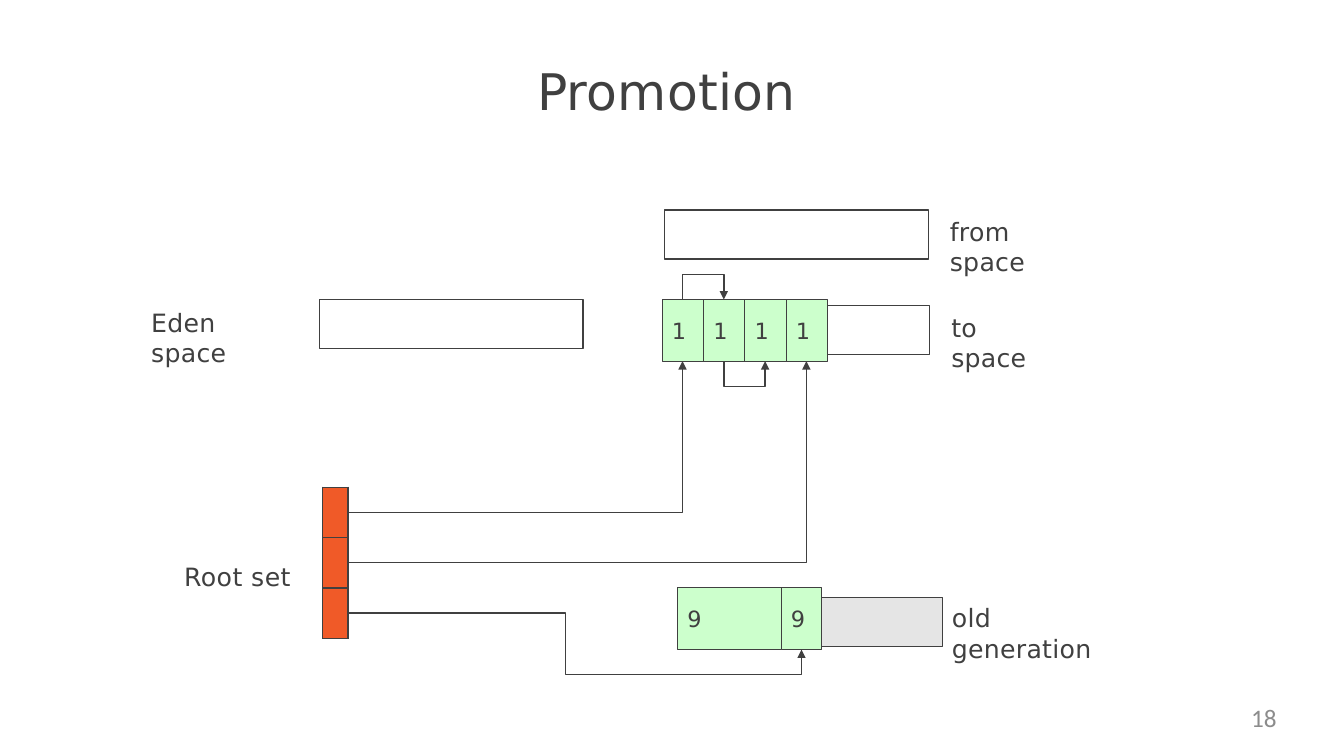
import pptx
import pptx.util
import pptx.dml.color
import pptx.enum.shapes
import pptx.enum.text
import pptx.oxml
import pptx.oxml.ns

Pt = pptx.util.Pt
ALIGN = pptx.enum.text.PP_ALIGN
ANCHOR = pptx.enum.text.MSO_ANCHOR

COLORS = {
    "ink": "404040",
    "live": "CCFFCC",
    "root": "F05A28",
    "old": "E5E5E5",
    "number": "8C8C8C",
}
FORMATS = {
    "title": {"size": Pt(36), "name": "DejaVu Sans"},
    "label": {"size": Pt(18), "name": "DejaVu Sans"},
    "age": {"size": Pt(16), "name": "DejaVu Sans"},
    "number": {"size": Pt(18), "name": "Calibri"},
}
BAR_WIDTH, BAR_HEIGHT = 188.5, 35
CELL_WIDTH, CELL_HEIGHT, CELL_PITCH = 29, 44, 29.5
ROOT_ROWS = 3


def color(name):
    """Return the named colour."""
    return pptx.dml.color.RGBColor.from_string(COLORS[name])


def write_text(shape, text, style, margins=(0, 2, 0, 0), align=ALIGN.LEFT,
               anchor=ANCHOR.TOP, ink="ink", spacing=0):
    """Put one formatted paragraph into a shape."""
    frame = shape.text_frame
    names = ("margin_left", "margin_top", "margin_right", "margin_bottom")
    values = dict(zip(names, map(Pt, margins)))
    values.update(word_wrap=True, vertical_anchor=anchor)
    for name, value in values.items():
        setattr(frame, name, value)
    paragraph = frame.paragraphs[0]
    paragraph.alignment = align
    run = paragraph.add_run()
    run.text = text
    for name, value in FORMATS[style].items():
        setattr(run.font, name, value)
    run.font.color.rgb = color(ink)
    run.font._element.set("spc", str(spacing))


def draw_text(slide, box, text, style, **options):
    """Place a text box."""
    shape = slide.shapes.add_textbox(*map(Pt, box))
    write_text(shape, text, style, **options)


def draw_rectangle(slide, box, fill=None):
    """Place an outlined rectangle, filled if a colour is named."""
    shape = slide.shapes.add_shape(
        pptx.enum.shapes.MSO_SHAPE.RECTANGLE, *map(Pt, box))
    shape.shadow.inherit = False
    if fill:
        shape.fill.solid()
        shape.fill.fore_color.rgb = color(fill)
    else:
        shape.fill.background()
    shape.line.color.rgb = color("ink")
    shape.line.width = Pt(0.75)
    return shape


def draw_space(slide, box, label, label_box, fill=None):
    """Place a memory bar and its label, offset from the bar's corner."""
    left, top, width, height = box
    draw_rectangle(slide, box, fill)
    across, down, label_width, label_height = label_box
    draw_text(slide, (left + across, top + down, label_width, label_height),
              label, "label", spacing=20)


def draw_objects(slide, box, ages, widths):
    """Place adjoining live objects, each marked with its age."""
    left, top, _, height = box
    for age, width in zip(ages, widths):
        shape = draw_rectangle(slide, (left, top, width, height), "live")
        write_text(shape, age, "age", margins=(7, 0, 0, 0), anchor=ANCHOR.MIDDLE)
        left += width


def draw_root_set(slide, box):
    """Place the root table with its label to the left."""
    left, top, width, height = box
    frame = slide.shapes.add_table(ROOT_ROWS, 1, *map(Pt, box))
    table = frame.table
    table.columns[0].width = Pt(width)
    for row in table.rows:
        row.height = Pt(height / ROOT_ROWS)
        cell = row.cells[0]
        for edge in ("lnL", "lnR", "lnT", "lnB"):
            cell._tc.get_or_add_tcPr().append(pptx.oxml.parse_xml(
                f'<a:{edge} {pptx.oxml.ns.nsdecls("a")} w="12700"><a:solidFill>'
                f'<a:srgbClr val="{COLORS["ink"]}"/></a:solidFill></a:{edge}>'))
        cell.fill.solid()
        cell.fill.fore_color.rgb = color("root")
    draw_text(slide, (left - 99, top + 51, 85, 24), "Root set", "label", spacing=30)


def draw_reference(slide, points):
    """Draw a bent arrow through the points."""
    start, *rest = [tuple(map(Pt, point)) for point in points]
    builder = slide.shapes.build_freeform(*start)
    builder.add_line_segments(rest, close=False)
    shape = builder.convert_to_shape()
    shape.shadow.inherit = False
    shape.fill.background()
    shape.line.color.rgb = color("ink")
    shape.line.width = Pt(1)
    shape.line._get_or_add_ln().append(pptx.oxml.parse_xml(
        f'<a:tailEnd {pptx.oxml.ns.nsdecls("a")} type="triangle"/>'))


def draw_references(slide, root_box, survivor_box, old_box):
    """Draw the references from the roots and between the objects."""
    root_left, root_top, root_width, root_height = root_box
    root_right = root_left + root_width
    row = root_height / ROOT_ROWS
    rows = [root_top + row * (index + 0.5) for index in range(ROOT_ROWS)]
    left, top, _, height = survivor_box
    bottom = top + height
    centers = [left + CELL_WIDTH / 2 + CELL_PITCH * index for index in range(4)]
    for y, x in zip(rows, (centers[0], centers[3])):
        draw_reference(slide, [(root_right, y), (x, y), (x, bottom)])
    old_x = old_box[0] + old_box[2] - CELL_WIDTH / 2
    old_bottom = old_box[1] + old_box[3]
    bend, low = root_right + 155.5, old_bottom + 18
    draw_reference(slide, [(root_right, rows[2]), (bend, rows[2]), (bend, low),
                           (old_x, low), (old_x, old_bottom)])
    for first, edge, turn in ((0, top, top - 18), (1, bottom, bottom + 18)):
        x, target = centers[first:first + 2]
        draw_reference(slide, [(x, edge), (x, turn), (target, turn), (target, edge)])


def draw_promotion(slide, box):
    """Place the whole promotion slide in its box."""
    left, top, width, height = box
    draw_text(slide, (left + 380, top + 41, 192, 46), "Promotion", "title",
              align=ALIGN.CENTER, spacing=20)
    spaces = (
        (228, 214, "Eden space", (-120, 3.5, 98, 24), None),
        (474.5, 150, "from space", (204, 2.5, 96, 24), None),
        (475.5, 218.5, "to space", (204, 2.5, 74, 24), None),
        (485, 426.5, "old generation", (195, 2, 124, 24), "old"),
    )
    for x, y, label, label_box, fill in spaces:
        draw_space(slide, (left + x, top + y, BAR_WIDTH, BAR_HEIGHT),
                   label, label_box, fill)
    survivors = (left + 473, top + 214, 4 * CELL_PITCH, CELL_HEIGHT)
    old = (left + 484, top + 420, 74 + CELL_WIDTH, CELL_HEIGHT)
    roots = (left + 230.5, top + 348, 18, 108)
    draw_objects(slide, survivors, "1111", [CELL_PITCH] * 4)
    draw_objects(slide, old, "99", (74, CELL_WIDTH))
    draw_root_set(slide, roots)
    draw_references(slide, roots, survivors, old)
    draw_text(slide, (left + width - 269, top + height - 38, 221, 27), "18",
              "number", margins=(0, 0, 0, 0), align=ALIGN.RIGHT, ink="number")


def main():
    """Build and save the presentation."""
    presentation = pptx.Presentation()
    presentation.slide_width = Pt(960)
    presentation.slide_height = Pt(540)
    slide = presentation.slides.add_slide(presentation.slide_layouts[6])
    draw_promotion(slide, (0, 0, 960, 540))
    presentation.save("out.pptx")


if __name__ == "__main__":
    main()
